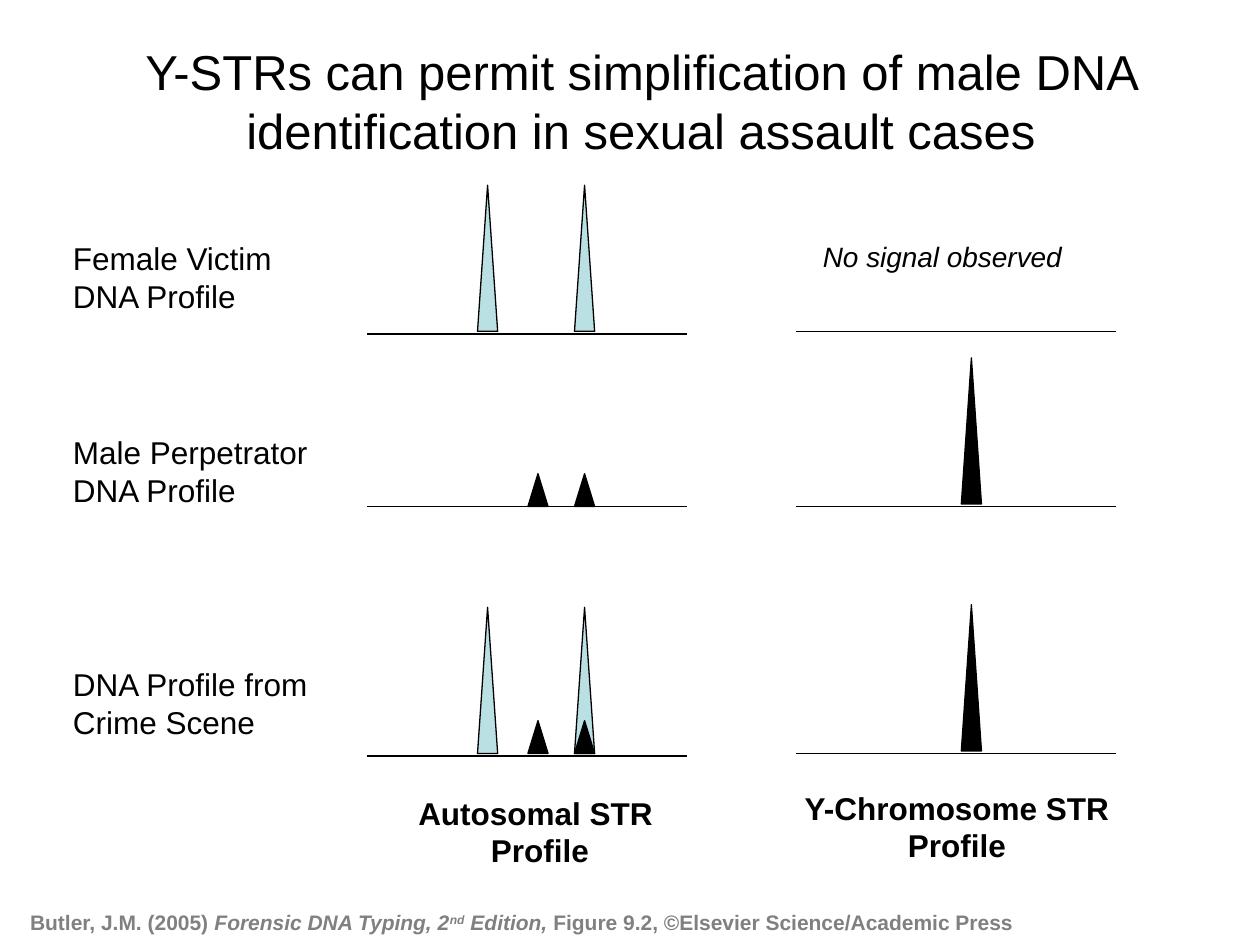
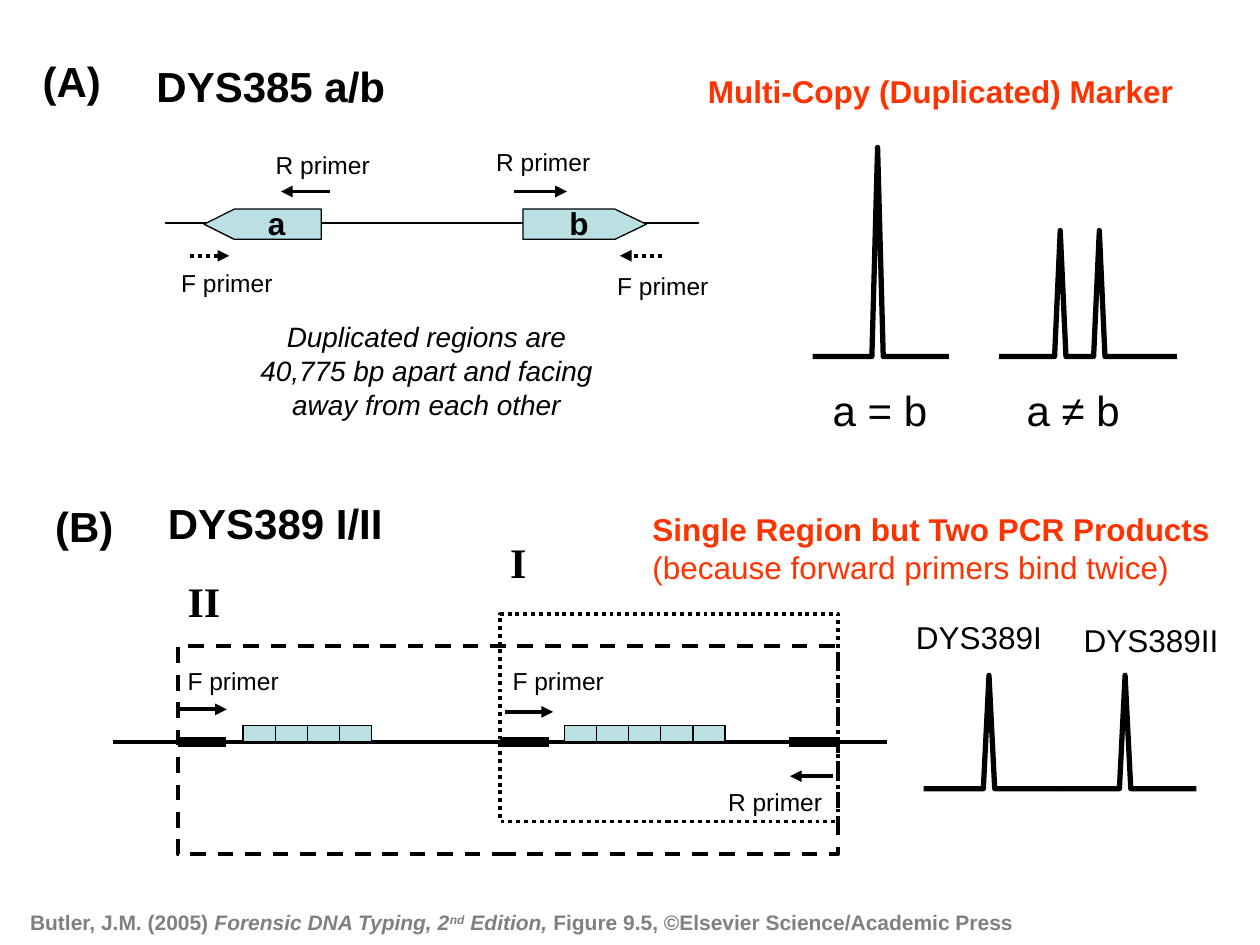
from dataclasses import dataclass

from lxml.etree import SubElement
from pptx import Presentation
from pptx.dml.color import RGBColor as RGB
from pptx.enum.dml import MSO_LINE as DASH
from pptx.enum.shapes import MSO_CONNECTOR as CONN, MSO_SHAPE as SHAPE
from pptx.enum.text import MSO_ANCHOR as ANCHOR, MSO_AUTO_SIZE as FIT, PP_ALIGN as ALIGN
from pptx.oxml.ns import qn
from pptx.util import Inches, Pt


@dataclass(frozen=True)
class Theme:
    """Colours, fonts, type sizes and line widths of the deck."""
    ink: str = "000000"
    teal: str = "BBE0E3"
    red: str = "FF3300"
    grey: str = "808080"
    sans: str = "Arial"
    serif: str = "Times New Roman"
    title: int = 28
    heading: int = 24
    body: int = 18
    remark: int = 16
    label: int = 14
    cite: int = 12
    hair: float = 0.75
    thin: float = 1.5
    medium: float = 2.25
    trace: float = 3
    block: float = 6


T = Theme()
TITLE_ONLY, BLANK = 5, 6


def grid(*cells):
    """Turn columns and rows of the 100 by 75 grid into lengths."""
    return [Inches(n / 10) for n in cells]


def write(p, text, size=T.body, font=T.sans, color=T.ink, bold=False, italic=False, raised=False):
    """Add one formatted run to a paragraph."""
    r = p.add_run()
    r.text = text
    f = r.font
    f.size, f.name, f.bold, f.italic = Pt(size), font, bold, italic
    f.color.rgb = RGB.from_string(color)
    if raised:
        f._element.set("baseline", "30000")


class Deck:
    """Draws styled elements on the current slide."""

    def __init__(self):
        """Open an empty deck with a 100 by 75 grid."""
        self.prs = Presentation()
        self.prs.slide_width, self.prs.slide_height = grid(100, 75)
        self.s = None

    def slide(self, layout):
        """Start a new slide."""
        self.s = self.prs.slides.add_slide(self.prs.slide_layouts[layout])

    def title(self, text, x, y, w, h):
        """Place and format the title placeholder."""
        sp = self.s.shapes.title
        sp.left, sp.top, sp.width, sp.height = grid(x, y, w, h)
        tf = sp.text_frame
        tf.auto_size, tf.vertical_anchor, tf.word_wrap = FIT.NONE, ANCHOR.MIDDLE, True
        p = tf.paragraphs[0]
        p.alignment = ALIGN.CENTER
        write(p, text, size=T.title)

    def text(self, text, x, y, w, h, center=False, wrap=True, **style):
        """Add a text box with one paragraph per line and return its frame."""
        tf = self.s.shapes.add_textbox(*grid(x, y, w, h)).text_frame
        tf.word_wrap = wrap
        tf.auto_size = FIT.NONE if wrap else FIT.SHAPE_TO_FIT_TEXT
        for i, line in enumerate(text.split("\n")):
            p = tf.add_paragraph() if i else tf.paragraphs[0]
            p.alignment = ALIGN.CENTER if center else ALIGN.LEFT
            if line:
                write(p, line, **style)
        return tf

    def citation(self, figure):
        """Add the source line at the foot of the slide."""
        p = self.text("", 1.4, 71.7, 86.9, 3).paragraphs[0]
        for text, style in (
            ("Butler, J.M. (2005)", {}),
            (" Forensic DNA Typing, 2", {"italic": True}),
            ("nd", {"italic": True, "raised": True}),
            (" Edition,", {"italic": True}),
            (f" Figure {figure}, ©Elsevier Science/Academic Press", {}),
        ):
            write(p, text, size=T.cite, color=T.grey, bold=True, **style)

    def paint(self, sp, fill=None, width=T.hair, dash=None):
        """Set the fill and outline of a shape."""
        sp.shadow.inherit = False
        if fill:
            sp.fill.solid()
            sp.fill.fore_color.rgb = RGB.from_string(fill)
        else:
            sp.fill.background()
        self.stroke(sp.line, width, dash)

    def stroke(self, line, width, dash=None):
        """Set the colour, width and dash of a line."""
        line.color.rgb = RGB.from_string(T.ink)
        line.width = Pt(width)
        if dash:
            line.dash_style = dash

    def shape(self, kind, x, y, w, h, **style):
        """Add a preset shape."""
        self.paint(self.s.shapes.add_shape(kind, *grid(x, y, w, h)), **style)

    def outline(self, points, closed=False, **style):
        """Add a freeform through the given grid points."""
        start, *rest = [grid(*point) for point in points]
        fb = self.s.shapes.build_freeform(*start)
        fb.add_line_segments(rest, close=closed)
        self.paint(fb.convert_to_shape(), **style)

    def line(self, x1, x2, y, width=T.hair, dash=None, arrow=False):
        """Add a level line, with an arrowhead at its end if asked."""
        c = self.s.shapes.add_connector(CONN.STRAIGHT, *grid(x1, y, x2, y))
        self.stroke(c.line, width, dash)
        if arrow:
            SubElement(c.line._get_or_add_ln(), qn("a:tailEnd"), type="triangle")
        SubElement(c._element.spPr, qn("a:effectLst"))

    def arrow(self, x1, x2, y, dash=None):
        """Add a primer arrow."""
        self.line(x1, x2, y, T.medium, dash, arrow=True)

    def peak(self, x, foot, h, fill):
        """Add a triangular signal peak standing on its foot."""
        self.shape(SHAPE.ISOSCELES_TRIANGLE, x, foot - h, 1.6, h, fill=fill)

    def trace(self, x1, x2, base, top, centers):
        """Add a signal trace that rises to a peak at each centre."""
        points = [(x1, base)]
        for c in centers:
            points += [(c - 0.45, base), (c, top), (c + 0.45, base)]
        self.outline(points + [(x2, base)], width=T.trace)


def profiles_slide(d):
    """Compare autosomal and Y-chromosome profiles."""
    d.slide(TITLE_ONLY)
    d.title("Y-STRs can permit simplification of male DNA identification in sexual assault cases",
            7.5, 1.7, 86.7, 12.5)
    tall, short = 11.6, 2.6
    victim = [(37.9, tall, T.teal), (45.6, tall, T.teal)]
    male = [(41.9, short, T.ink), (45.6, short, T.ink)]
    male_y = [(76.3, tall, T.ink)]
    for label, label_y, auto_base, auto_foot, auto_peaks, y_base, y_peaks in (
        ("Female Victim DNA Profile", 18.5, 26.5, 26.3, victim, 26.3, []),
        ("Male Perpetrator DNA Profile", 33.9, 40.2, 40.2, male, 40.2, male_y),
        ("DNA Profile from Crime Scene", 52.3, 60, 59.8, victim + male, 59.8, male_y),
    ):
        d.text(label, 4.8, label_y, 21.8, 7)
        for x, h, fill in auto_peaks:
            d.peak(x, auto_foot, h, fill)
        for x, h, fill in y_peaks:
            d.peak(x, y_base - 0.2, h, fill)
        d.line(29.1, 54.5, auto_base)
        d.line(63.2, 88.6, y_base)
    d.text("No signal observed", 62.3, 18.5, 25, 3.7, center=True, size=T.remark, italic=True)
    d.text("Autosomal STR \nProfile", 28.1, 62.5, 29.5, 7, center=True, bold=True)
    d.text("Y-Chromosome STR Profile", 58.8, 62.1, 34.3, 7, center=True, bold=True)
    d.citation("9.2")


def duplicated_marker(d):
    """Draw part A, the marker with two copies."""
    d.line(13.1, 55.5, 17.7, T.thin)
    for name, x, tail, shoulder, tip in (("a", 19.4, 25.5, 18.6, 16.2), ("b", 43.4, 41.5, 48.8, 51.3)):
        d.outline([(tail, 16.6), (shoulder, 16.6), (tip, 17.8), (shoulder, 19), (tail, 19)],
                  closed=True, fill=T.teal)
        d.text(name, x, 15.7, 5.1, 3.7, center=True, bold=True)
    d.arrow(26.2, 22.3, 15.2)
    d.arrow(40.8, 45, 15.2)
    d.arrow(15.1, 18.2, 20.3, DASH.ROUND_DOT)
    d.arrow(52.5, 49.2, 20.3, DASH.ROUND_DOT)
    d.text("Duplicated regions are 40,775 bp apart and facing away from each other",
           18.5, 24.9, 30.7, 8.8, center=True, size=T.remark, italic=True)
    d.trace(64.5, 75.3, 28.3, 11.7, [69.65])
    d.trace(79.3, 93.4, 28.3, 18.3, [84.15, 87.25])
    d.text("a = b", 65.1, 30, 9.5, 5, wrap=False, size=T.heading)
    d.text("a ≠ b", 80.5, 30, 10.2, 5, wrap=False, size=T.heading)
    d.text("Multi-Copy (Duplicated) Marker", 55.2, 5.2, 39.2, 4, wrap=False, color=T.red, bold=True)


def two_product_marker(d):
    """Draw part B, the region that gives two products."""
    region_end, strand, primer, repeat = 66.5, 58.9, 3.85, 2.55
    for name, name_x, name_y, name_w, x, y, dash in (
        ("I", 39.5, 42.1, 3.3, 39.7, 48.7, DASH.ROUND_DOT),
        ("II", 13.9, 45.2, 4.6, 14.1, 51.3, DASH.DASH),
    ):
        d.shape(SHAPE.RECTANGLE, x, y, region_end - x, 16.5, width=T.medium, dash=dash)
        d.text(name, name_x, name_y, name_w, 5, wrap=False, size=T.heading, font=T.serif, bold=True)
    d.line(9, 70.4, strand, T.medium)
    for x, count in ((19.3, 4), (44.8, 5)):
        for i in range(count):
            d.shape(SHAPE.RECTANGLE, x + i * repeat, 57.6, repeat, 1.3, fill=T.teal)
    for x in (14.1, 39.7, region_end - primer):
        d.line(x, x + primer, strand, T.block)
    d.arrow(14.1, 18, 56.3)
    d.arrow(40.1, 43.9, 56.5)
    d.arrow(66.1, 62.7, 61.6)
    for name, x, y, w, trace_x in (("DYS389I", 71.3, 48.6, 12.8, 73.3), ("DYS389II", 83.5, 48.8, 15.7, 84.1)):
        d.text(name, x, y, w, 4, center=True)
        d.trace(trace_x, trace_x + 10.85, 62.6, 53.6, [trace_x + 5.2])
    tf = d.text("Single Region but Two PCR Products ", 50.8, 40, 46.7, 7, color=T.red, bold=True)
    write(tf.paragraphs[0], "(because forward primers bind twice)", color=T.red)


def markers_slide(d):
    """Show the two markers with their primers and signals."""
    d.slide(BLANK)
    for part, part_x, part_y, name, x, y, w in (
        ("(A)", 2.4, 3.9, "DYS385 a/b", 8, 4.3, 27),
        ("(B)", 3.4, 39.2, "DYS389 I/II", 10.5, 39, 22.7),
    ):
        d.text(part, part_x, part_y, 6.6, 5, wrap=False, size=T.heading, bold=True)
        d.text(name, x, y, w, 4.6, center=True, size=T.heading, bold=True)
    duplicated_marker(d)
    two_product_marker(d)
    for name, w, places in (
        ("F primer", 9.3, ((13.4, 20.8), (48, 21), (13.9, 52.4), (39.7, 52.4))),
        ("R primer", 9.6, ((20.9, 11.4), (38.4, 11.2), (56.8, 62))),
    ):
        for x, y in places:
            d.text(name, x, y, w, 3.4, wrap=False, size=T.label)
    d.citation("9.5")


def main():
    """Build and save the deck."""
    d = Deck()
    profiles_slide(d)
    markers_slide(d)
    d.prs.save("out.pptx")


if __name__ == "__main__":
    main()
